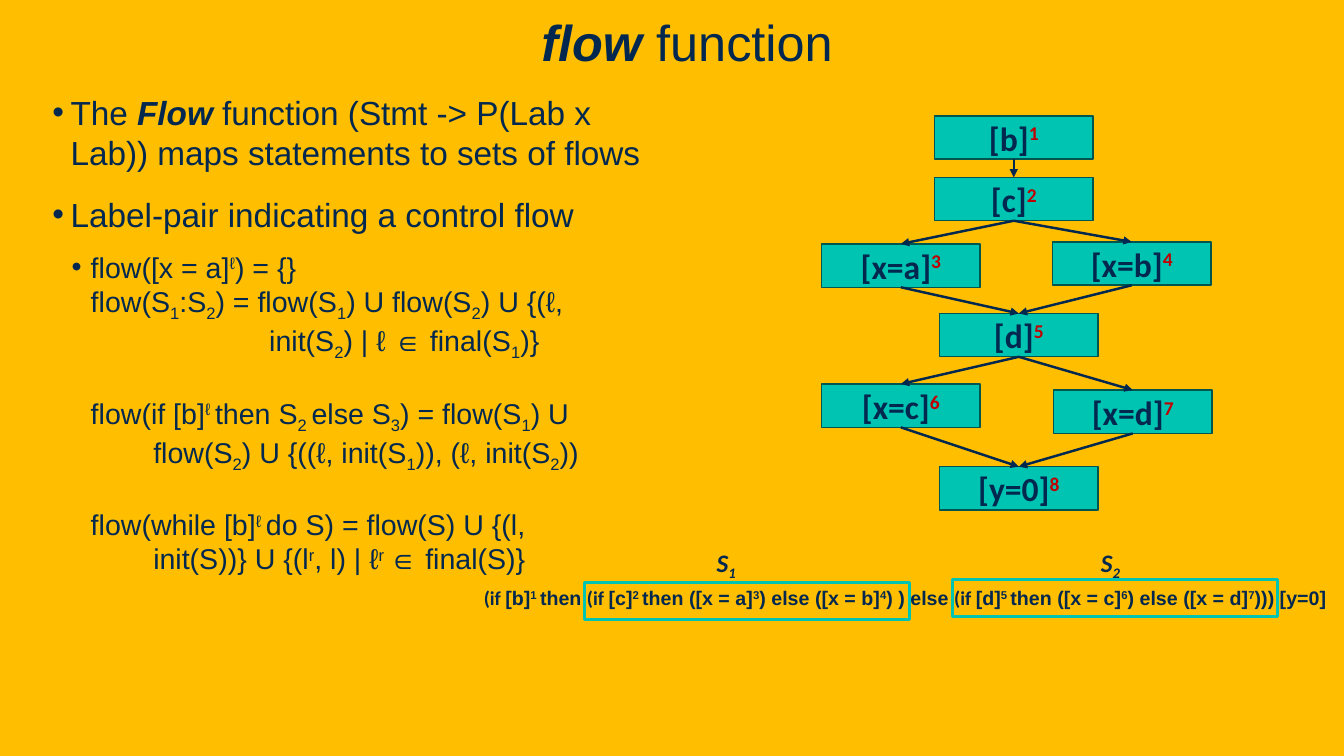
from pptx import Presentation
from pptx.dml.color import RGBColor
from pptx.enum.shapes import MSO_CONNECTOR, MSO_SHAPE
from pptx.enum.text import MSO_ANCHOR, MSO_AUTO_SIZE, PP_ALIGN
from pptx.oxml.ns import qn
from pptx.util import Inches, Pt
from lxml.etree import SubElement

COLORS = {"background": "FFBE00", "ink": "022850", "teal": "00C4B2",
          "teal_dark": "00564E", "label": "C00000"}

# Inline marks: ^superscript^, _subscript_, *bold italic*, #Calibri#
TITLE = "*flow *function"

# text, level, size, left margin, first-line indent, bullet, before, after
BODY = [
    ("The *Flow *function (Stmt -> P(Lab x Lab)) maps statements to sets of flows",
     0, 23.8, 0.18, -0.18, True, 0, 6),
    ("Label-pair indicating a control flow", 0, 23.8, 0.18, -0.18, True, 10, 6),
    ("flow([x = a]^ℓ^) = {}", 1, 20.4, 0.38, -0.19, True, 5, 0),
    ("flow(S_1_:S_2_) = flow(S_1_) U flow(S_2_) U {(ℓ,\n"
     "init(S_2_) | ℓ ∈ final(S_1_)}", 1, 20.4, 2.15, -1.77, False, 0, 6),
    ("flow(if [b]^ℓ ^then S_2 _else S_3_) = flow(S_1_) U\n"
     "flow(S_2_) U {((ℓ, init(S_1_)), (ℓ, init(S_2_))",
     1, 20.4, 1, -0.62, False, 18, 6),
    ("flow(while [b]^ℓ ^do S) = flow(S) U {(l,\n"
     "init(S))} U {(l^r^, l) | ℓ^r ^∈ final(S)}", 1, 20.4, 1, -0.62, False, 18, 6),
]

PROGRAM = ("#(if #[b]^1 ^then #(if #[c]^2 ^then ([x = a]^3^) else ([x = b]^4^) ) else "
           "#(if #[d]^5 ^then ([x = c]^6^) else ([x = d]^7^))) [y=0]")

# label, label left, frame left, frame top
BRANCHES = [("S_1_", 7.01, 5.8, 5.78), ("S_2_", 10.82, 9.45, 5.75)]

# statement, left, top; numbered from 1
NODES = [("[b]", 9.27, 1.15), ("[c]", 9.27, 1.76), ("[x=a]", 8.15, 2.42),
         ("[x=b]", 10.44, 2.4), ("[d]", 9.32, 3.11), ("[x=c]", 8.15, 3.81),
         ("[x=d]", 10.45, 3.87), ("[y=0]", 9.32, 4.63)]
EDGES = [(1, 2), (2, 3), (2, 4), (3, 5), (4, 5), (5, 6), (5, 7), (6, 8), (7, 8)]
BASELINES = {"^": "30000", "_": "-25000"}


def color(name):
    return RGBColor.from_string(COLORS[name])


def place(shape, left, top, width, height):
    shape.left, shape.top = Inches(left), Inches(top)
    shape.width, shape.height = Inches(width), Inches(height)


def add_styled_run(paragraph, text, marks):
    run = paragraph.add_run()
    run.text = text
    if "*" in marks:
        run.font.bold = run.font.italic = True
    if "#" in marks:
        run.font.name = "Calibri"
    for mark in marks & set(BASELINES):
        run._r.get_or_add_rPr().set("baseline", BASELINES[mark])
    return run


def write(paragraph, marked_text, size, font="Arial", bold=False, italic=False):
    """Fill a paragraph from text with inline marks."""
    paragraph.font.size, paragraph.font.name = Pt(size), font
    paragraph.font.bold, paragraph.font.italic = bold, italic
    paragraph.font.color.rgb = color("ink")
    marks, text = set(), ""
    for character in marked_text + "\0":
        if character not in "^_*#\n\0":
            text += character
            continue
        if text:
            add_styled_run(paragraph, text, marks)
            text = ""
        if character == "\n":
            paragraph.add_line_break()
        else:
            marks ^= {character}


def set_indent(paragraph, margin, indent, bullet=False):
    properties = paragraph._p.get_or_add_pPr()
    properties.set("marL", str(Inches(margin)))
    properties.set("indent", str(Inches(indent)))
    if bullet:
        SubElement(properties, qn("a:buChar")).set("char", "•")
    else:
        SubElement(properties, qn("a:buNone"))


def add_rectangle(left, top, width, height, line, line_width, fill=None):
    shape = slide.shapes.add_shape(MSO_SHAPE.RECTANGLE, Inches(left), Inches(top),
                                   Inches(width), Inches(height))
    shape.shadow.inherit = False
    if fill:
        shape.fill.solid()
        shape.fill.fore_color.rgb = color(fill)
    else:
        shape.fill.background()
    shape.line.color.rgb = color(line)
    shape.line.width = Pt(line_width)
    return shape


def add_text(left, top, width, height, wrap):
    box = slide.shapes.add_textbox(Inches(left), Inches(top),
                                   Inches(width), Inches(height))
    box.text_frame.word_wrap = wrap
    box.text_frame.auto_size = MSO_AUTO_SIZE.SHAPE_TO_FIT_TEXT
    return box.text_frame.paragraphs[0]


presentation = Presentation()
presentation.slide_width, presentation.slide_height = Inches(13.33), Inches(7.5)
slide = presentation.slides.add_slide(presentation.slide_layouts[1])
slide.background.fill.solid()
slide.background.fill.fore_color.rgb = color("background")

# Title
title = slide.shapes.title
place(title, 0, 0, 13.33, 0.76)
title.text_frame.auto_size = MSO_AUTO_SIZE.NONE
title.text_frame.vertical_anchor = MSO_ANCHOR.BOTTOM
paragraph = title.text_frame.paragraphs[0]
paragraph.alignment = PP_ALIGN.CENTER
set_indent(paragraph, 0.3, 0)
write(paragraph, TITLE, 36)

# Definitions
body = slide.placeholders[1]
place(body, 0.42, 0.86, 6.16, 5.52)
body.text_frame.auto_size = MSO_AUTO_SIZE.NONE
for index, (text, level, size, margin, indent, bullet, before, after) in enumerate(BODY):
    paragraph = body.text_frame.add_paragraph() if index else body.text_frame.paragraphs[0]
    paragraph.level = level
    paragraph.line_spacing = 1.0
    paragraph.space_before, paragraph.space_after = Pt(before), Pt(after)
    set_indent(paragraph, margin, indent, bullet)
    write(paragraph, text, size)

# Program line with its two framed branches
write(add_text(4.7, 5.76, 8.63, 0.34, True), PROGRAM, 14, bold=True)
for label, label_left, frame_left, frame_top in BRANCHES:
    add_rectangle(frame_left, frame_top, 3.22, 0.37, "teal", 2.25)
    write(add_text(label_left, 5.38, 0.41, 0.4, False), label, 18, "Calibri", True, True)

# Flow graph nodes
nodes = {}
for number, (statement, left, top) in enumerate(NODES, 1):
    node = add_rectangle(left, top, 1.57, 0.43, "teal_dark", 1, "teal")
    node.text_frame.vertical_anchor = MSO_ANCHOR.MIDDLE
    paragraph = node.text_frame.paragraphs[0]
    paragraph.alignment = PP_ALIGN.CENTER
    write(paragraph, statement, 24, "Calibri", True)
    add_styled_run(paragraph, str(number), {"^"}).font.color.rgb = color("label")
    nodes[number] = node

# Flow graph edges
for start, end in EDGES:
    edge = slide.shapes.add_connector(MSO_CONNECTOR.STRAIGHT, 0, 0, 0, 0)
    edge.begin_connect(nodes[start], 2)
    edge.end_connect(nodes[end], 0)
    edge.line.color.rgb = color("ink")
    edge.line.width = Pt(1.75)
    SubElement(edge.line._get_or_add_ln(), qn("a:tailEnd")).set("type", "triangle")
    SubElement(edge._element.spPr, qn("a:effectLst"))

presentation.save("out.pptx")
